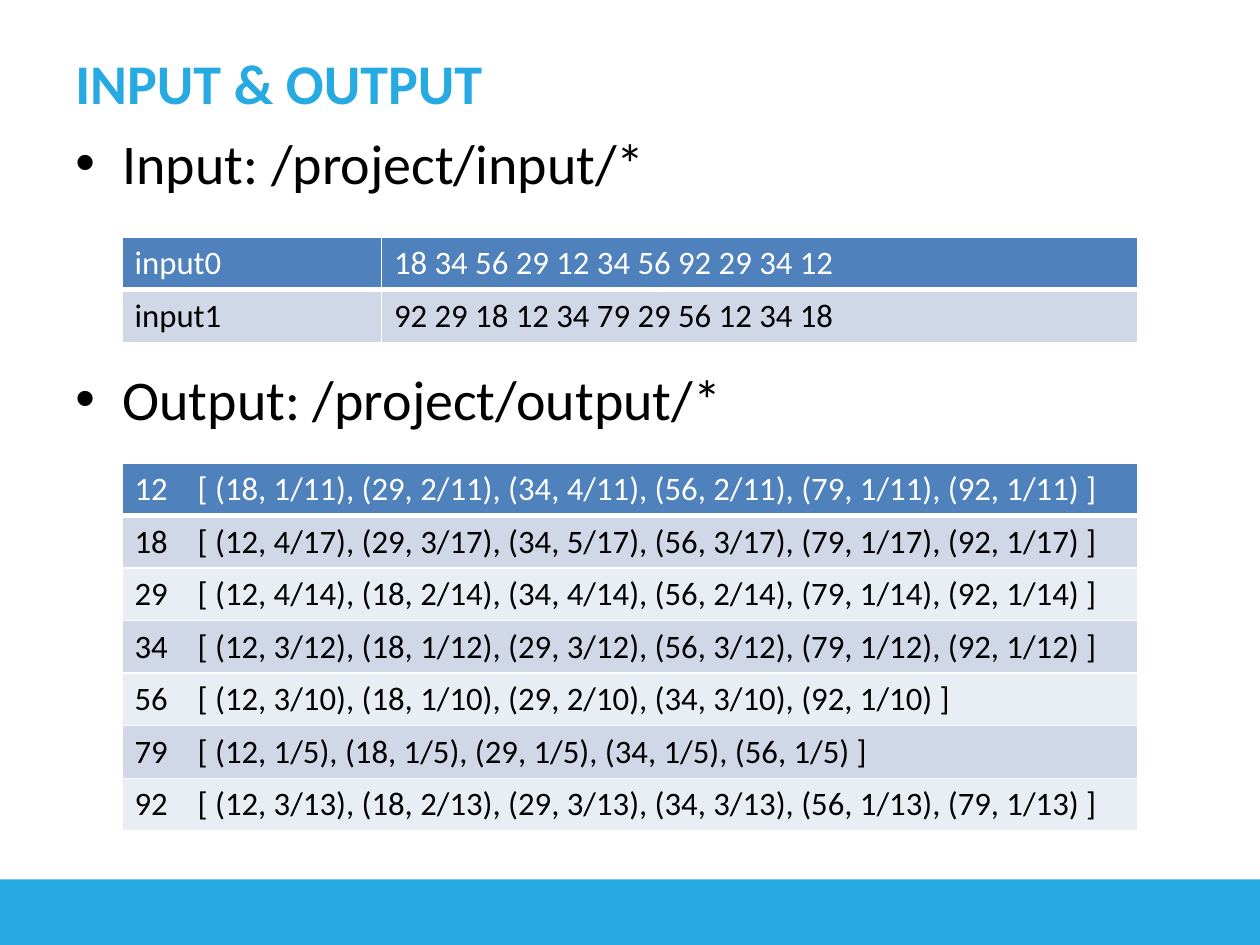
"""Build the input and output slide with its two data tables."""
import dataclasses

import lxml.etree
import pptx
import pptx.dml.color
import pptx.enum.shapes
import pptx.enum.text
import pptx.oxml.ns
import pptx.util

Cm = pptx.util.Cm
Pt = pptx.util.Pt
qn = pptx.oxml.ns.qn

COLOURS = {
    "accent": "27AAE1",
    "header": "4F81BD",
    "odd": "D0D8E8",
    "even": "E9EDF4",
    "white": "FFFFFF",
    "black": "000000",
}
FONT = "Calibri"
ROW_HEIGHT = 1.06
INDENT = Cm(0.95)
KEY_TAB = Cm(1.27)

INPUTS = [
    ["input0", "18 34 56 29 12 34 56 92 29 34 12"],
    ["input1", "92 29 18 12 34 79 29 56 12 34 18"],
]
NEIGHBOURS = {
    12: "(18, 1/11), (29, 2/11), (34, 4/11), (56, 2/11), (79, 1/11), (92, 1/11)",
    18: "(12, 4/17), (29, 3/17), (34, 5/17), (56, 3/17), (79, 1/17), (92, 1/17)",
    29: "(12, 4/14), (18, 2/14), (34, 4/14), (56, 2/14), (79, 1/14), (92, 1/14)",
    34: "(12, 3/12), (18, 1/12), (29, 3/12), (56, 3/12), (79, 1/12), (92, 1/12)",
    56: "(12, 3/10), (18, 1/10), (29, 2/10), (34, 3/10), (92, 1/10)",
    79: "(12, 1/5), (18, 1/5), (29, 1/5), (34, 1/5), (56, 1/5)",
    92: "(12, 3/13), (18, 2/13), (29, 3/13), (34, 3/13), (56, 1/13), (79, 1/13)",
}


@dataclasses.dataclass
class Grid:
    top: float
    widths: list[float]
    rows: list[list[str]]
    left: float = 2.46


GRIDS = [
    Grid(4.78, [5.23, 15.24], INPUTS),
    Grid(9.33, [20.47], [[f"{key}\t[ {pairs} ]"] for key, pairs in NEIGHBOURS.items()]),
]


def rgb(name: str) -> pptx.dml.color.RGBColor:
    return pptx.dml.color.RGBColor.from_string(COLOURS[name])


def write_text(para, text: str, *, size: float, colour: str = "black", bold: bool = False) -> None:
    span = para.add_run()
    span.text = text
    span.font.name = FONT
    span.font.size = Pt(size)
    span.font.bold = bold
    span.font.color.rgb = rgb(colour)


def add_text_frame(page, left: float, top: float, width: float, height: float):
    box = page.shapes.add_textbox(Cm(left), Cm(top), Cm(width), Cm(height))
    box.text_frame.word_wrap = True
    return box.text_frame


def add_bullet(para) -> None:
    properties = para._p.get_or_add_pPr()
    properties.set("marL", str(INDENT))
    properties.set("indent", str(-INDENT))
    lxml.etree.SubElement(properties, qn("a:buFont"), typeface="Arial")
    lxml.etree.SubElement(properties, qn("a:buChar"), char="•")


def add_tab_stop(para) -> None:
    stops = lxml.etree.SubElement(para._p.get_or_add_pPr(), qn("a:tabLst"))
    lxml.etree.SubElement(stops, qn("a:tab"), pos=str(KEY_TAB), algn="l")


def add_borders(cell, bottom: float, top: float) -> None:
    properties = cell._tc.get_or_add_tcPr()
    weights = {"a:lnL": 1, "a:lnR": 1, "a:lnT": top, "a:lnB": bottom}
    for position, (tag, weight) in enumerate(weights.items()):
        line = lxml.etree.Element(qn(tag), w=str(Pt(weight)))
        fill = lxml.etree.SubElement(line, qn("a:solidFill"))
        lxml.etree.SubElement(fill, qn("a:srgbClr"), val=COLOURS["white"])
        properties.insert(position, line)


def add_grid(page, grid: Grid) -> None:
    frame = page.shapes.add_table(
        len(grid.rows), len(grid.widths), Cm(grid.left), Cm(grid.top),
        Cm(sum(grid.widths)), Cm(ROW_HEIGHT * len(grid.rows)),
    )
    table = frame.table
    for column, width in zip(table.columns, grid.widths):
        column.width = Cm(width)
    for row_number, texts in enumerate(grid.rows):
        table.rows[row_number].height = Cm(ROW_HEIGHT)
        is_header = row_number == 0
        shade = "header" if is_header else "odd" if row_number % 2 else "even"
        for column_number, text in enumerate(texts):
            cell = table.cell(row_number, column_number)
            cell.fill.solid()
            cell.fill.fore_color.rgb = rgb(shade)
            add_borders(cell, bottom=3 if is_header else 1, top=3 if row_number == 1 else 1)
            para = cell.text_frame.paragraphs[0]
            if "\t" in text:
                add_tab_stop(para)
            write_text(para, text, size=18.7, colour="white" if is_header else "black")


def add_footer_bar(page) -> None:
    bar = page.shapes.add_shape(
        pptx.enum.shapes.MSO_SHAPE.RECTANGLE, Cm(-0.08), Cm(17.73), Cm(25.63), Cm(1.65)
    )
    bar.shadow.inherit = False
    bar.fill.solid()
    bar.fill.fore_color.rgb = rgb("accent")
    bar.line.fill.background()


def main() -> None:
    deck = pptx.Presentation()
    deck.slide_width, deck.slide_height = Cm(25.4), Cm(19.05)
    page = deck.slides.add_slide(deck.slide_layouts[6])
    add_footer_bar(page)

    title = add_text_frame(page, 1.27, 0.76, 17.4, 1.78)
    title.vertical_anchor = pptx.enum.text.MSO_ANCHOR.MIDDLE
    write_text(title.paragraphs[0], "INPUT & OUTPUT", size=32, colour="accent", bold=True)

    body = add_text_frame(page, 1.27, 2.46, 22.86, 12.57)
    input_para, output_para = body.paragraphs[0], body.add_paragraph()
    output_para.space_before = Pt(96.5)
    for para, folder in ((input_para, "Input: /project/input/*"),
                         (output_para, "Output: /project/output/*")):
        add_bullet(para)
        write_text(para, folder, size=32)

    for grid in GRIDS:
        add_grid(page, grid)
    deck.save("out.pptx")


if __name__ == "__main__":
    main()
